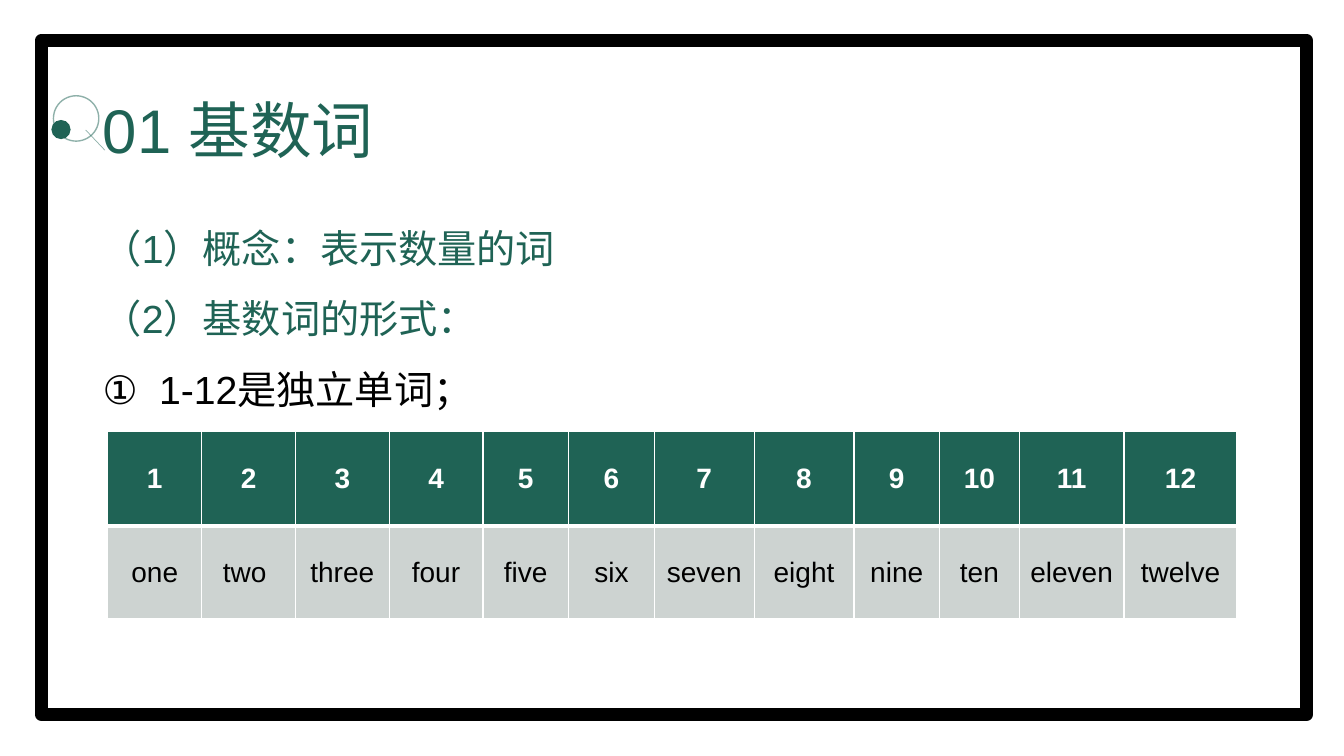
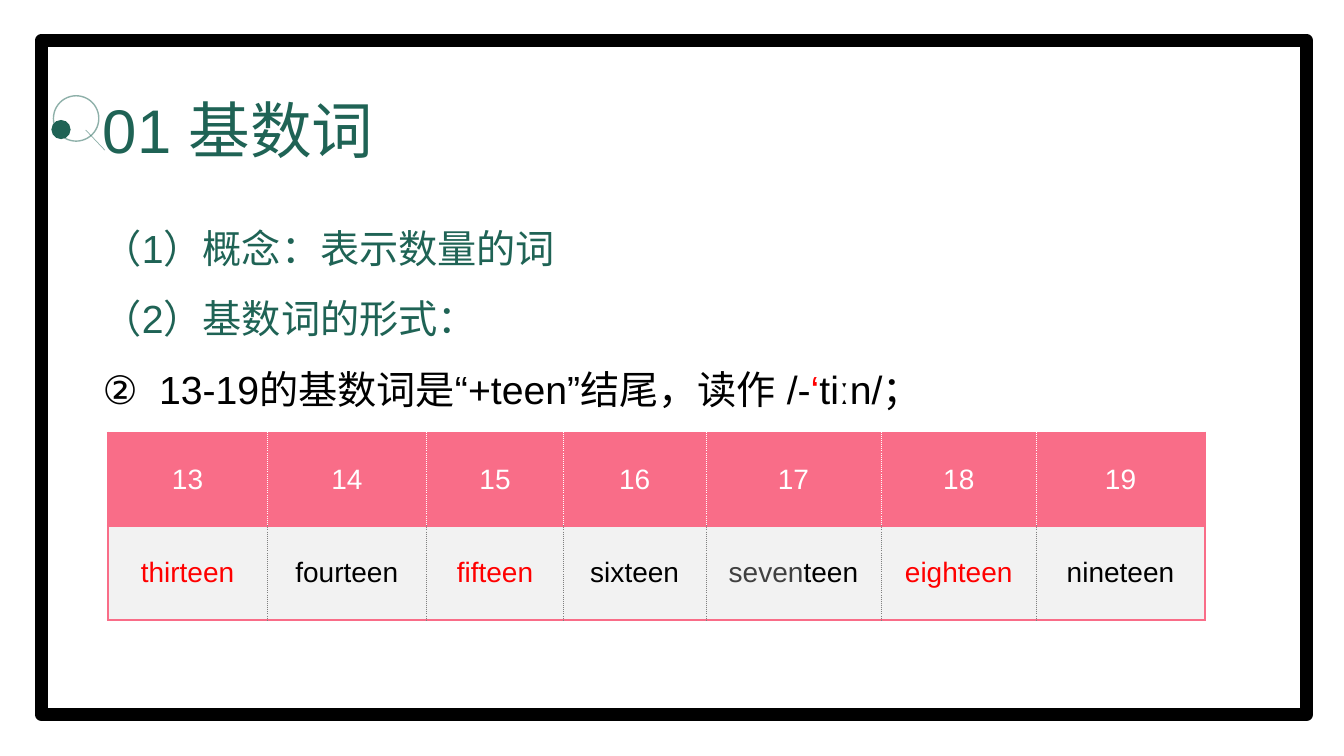
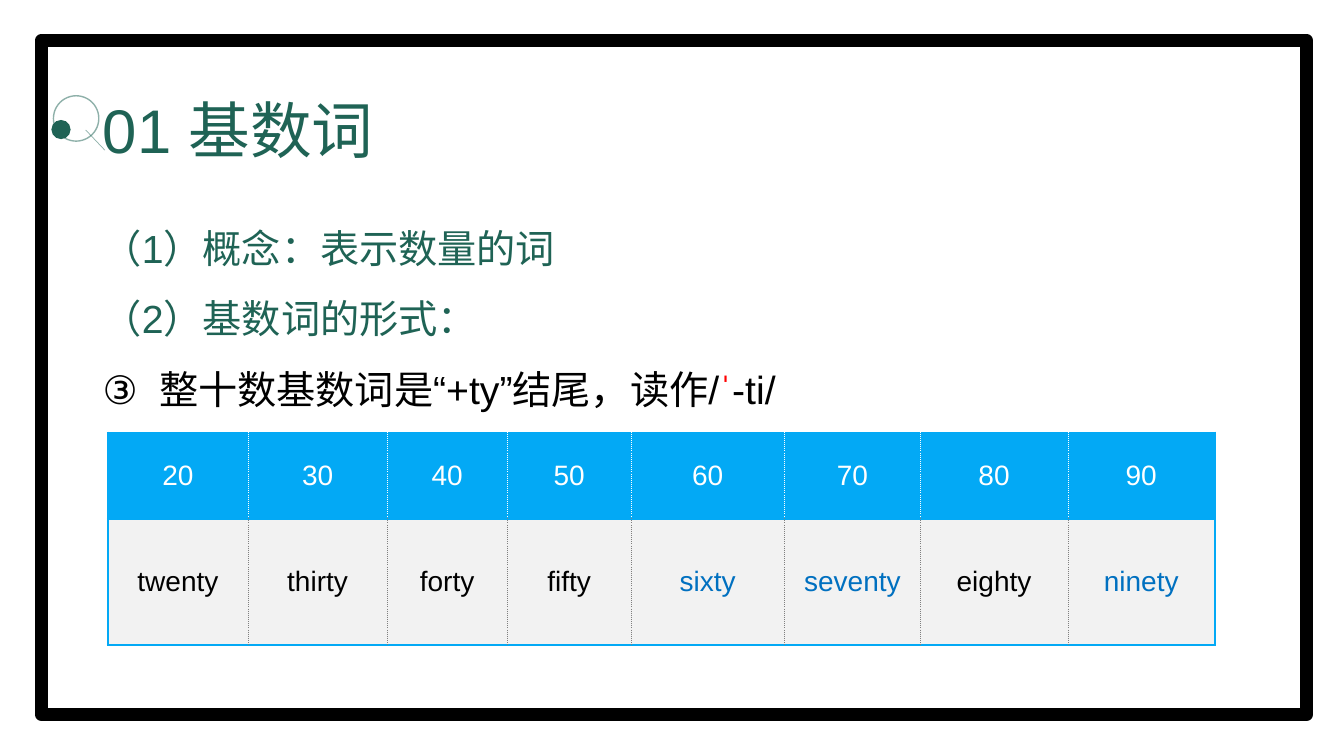
from lxml import etree
from pptx import Presentation
from pptx import util as u
from pptx.dml.color import RGBColor
from pptx.enum import lang, shapes, text
from pptx.oxml import ns

PX = 9144  # 100 px to the inch
FONT = "Arial"
COLORS = {
    "green": "1F6355", "black": "000000", "white": "FFFFFF", "red": "FF0000",
    "mist": "CDD3D1", "pale": "F2F2F2", "pink": "F96D88", "sky": "03A9F5",
    "blue": "0070C0", "gray": "404040", "divider": "7F7F7F",
}
TITLE = "01 基数词"
INTRO = ["（1）概念：表示数量的词", "（2）基数词的形式："]
FRAME_BOX = (41, 40, 1255, 669)
EMBLEM_BOX = (51, 95, 53, 54)
TITLE_BOX = (92, 48, 1150, 145)
BODY_BOX = (92, 208, 1150, 476)


def px(*lengths):
    return [u.Emu(n * PX) for n in lengths]


def rgb(name):
    return RGBColor.from_string(COLORS[name])


def child(parent, tag, **attrs):
    return etree.SubElement(parent, ns.qn(tag), attrs)


def set_all(obj, formats):
    for name, value in formats.items():
        setattr(obj, name, value)


def write(p, content, color, size, bold=False, **formats):
    """Fill a paragraph from a string or a list of (text, color) runs."""
    set_all(p, formats)
    runs = [(content, color)] if isinstance(content, str) else content
    for words, run_color in runs:
        r = p.add_run()
        r.text = words
        set_all(r.font, {"name": FONT, "size": u.Pt(size), "bold": bold,
                         "language_id": lang.MSO_LANGUAGE_ID.SIMPLIFIED_CHINESE})
        r.font.color.rgb = rgb(run_color)
        child(r.font._element, "a:ea", typeface=FONT)


def outline(sp, color, width, alpha=None):
    sp.line.color.rgb = rgb(color)
    sp.line.width = u.Pt(width)
    if alpha:
        srgb = sp.line._ln.find(".//" + ns.qn("a:srgbClr"))
        child(srgb, "a:alpha", val=str(alpha * 1000))


def add_plain(container, kind, box, fill=None):
    sp = container.add_shape(kind, *px(*box))
    sp.shadow.inherit = False
    if fill:
        sp.fill.solid()
        sp.fill.fore_color.rgb = rgb(fill)
    else:
        sp.fill.background()
    sp.line.fill.background()
    return sp


def add_frame(s, box):
    frame = add_plain(s.shapes, shapes.MSO_SHAPE.RECTANGLE, box, "white")
    outline(frame, "black", 9)
    frame._element.getparent().insert(2, frame._element)  # behind the title


def add_emblem(s, box):
    x, y, w, h = box
    group = s.shapes.add_group_shape().shapes
    oval = shapes.MSO_SHAPE.OVAL
    ring = add_plain(group, oval, (x + 2, y, 45, 45))
    outline(ring, "green", 1, alpha=50)
    handle = group.add_connector(shapes.MSO_CONNECTOR.STRAIGHT,
                                 *px(x + 34, y + 34, x + w, y + h))
    outline(handle, "green", 0.5, alpha=50)
    child(handle._element.spPr, "a:effectLst")
    add_plain(group, oval, (x, y + 24, 19, 19), "green")


def add_title(s, box):
    title = s.shapes.title
    set_all(title, dict(zip(("left", "top", "width", "height"), px(*box))))
    tf = title.text_frame
    set_all(tf, {"word_wrap": True, "auto_size": text.MSO_AUTO_SIZE.NONE,
                 "vertical_anchor": text.MSO_ANCHOR.MIDDLE})
    write(tf.paragraphs[0], TITLE, "green", 44,
          alignment=text.PP_ALIGN.LEFT, line_spacing=1.2)


def add_body(s, box, number, rule):
    """Two shared lines, then the rule with its circled number."""
    tf = s.shapes.add_textbox(*px(*box)).text_frame
    tf.word_wrap = True
    lines = [(line, "green") for line in INTRO] + [(rule, "black")]
    for i, (line, color) in enumerate(lines):
        p = tf.add_paragraph() if i else tf.paragraphs[0]
        write(p, line, color, 28, alignment=text.PP_ALIGN.JUSTIFY,
              line_spacing=1.2, space_before=u.Pt(10))
    pPr = p._p.get_or_add_pPr()
    indent = 56 * PX
    pPr.set("marL", str(indent))
    pPr.set("indent", str(-indent))
    child(pPr, "a:buAutoNum", type="circleNumDbPlain", startAt=str(number))


def add_borders(cell, **sides):
    """Each side (L, R, T, B) is a color and a width; hairlines are dotted."""
    tcPr = cell._tc.get_or_add_tcPr()
    for side in "LRTB":
        color, width = sides[side]
        ln = child(tcPr, "a:ln" + side, w=str(u.Pt(width)))
        child(child(ln, "a:solidFill"), "a:srgbClr", val=COLORS[color])
        child(ln, "a:prstDash", val="sysDot" if width < 1 else "solid")


def plain_borders(row, col, last):
    edge = ("white", 1)
    return {"L": edge, "R": edge, "T": edge, "B": edge if row else ("white", 3)}


def dotted_borders(accent):
    def borders(row, col, last):
        edge = (accent, 1.5)
        inner = ("divider" if row else "white", 0.25)
        return {"L": inner if col else edge, "R": edge if col == last else inner,
                "T": edge, "B": edge}
    return borders


def add_number_table(s, origin, cols, rows, cells, fills, borders, bold_head=False):
    table = s.shapes.add_table(len(rows), len(cols),
                               *px(*origin, sum(cols), sum(rows))).table
    table.horz_banding = False
    for column, width in zip(table.columns, px(*cols)):
        column.width = width
    for i, (height, contents) in enumerate(zip(px(*rows), cells)):
        table.rows[i].height = height
        for j, content in enumerate(contents):
            cell = table.cell(i, j)
            add_borders(cell, **borders(i, j, len(cols) - 1))
            cell.fill.solid()
            cell.fill.fore_color.rgb = rgb(fills[i])
            cell.vertical_anchor = text.MSO_ANCHOR.MIDDLE
            write(cell.text_frame.paragraphs[0], content, "black" if i else "white",
                  20, bold_head and i == 0, alignment=text.PP_ALIGN.CENTER)


def add_numeral_slide(prs, number, rule, table):
    s = prs.slides.add_slide(prs.slide_layouts[5])
    add_frame(s, FRAME_BOX)
    add_emblem(s, EMBLEM_BOX)
    add_title(s, TITLE_BOX)
    add_body(s, BODY_BOX, number, rule)
    add_number_table(s, **table)


def numerals(*values):
    return [str(n) for n in values]


def colored(color, word):
    return [(word, color)]


SLIDES = [
    ("1-12是独立单词；", {
        "origin": (107, 428), "rows": [94, 92],
        "cols": [93, 93, 93, 93, 85, 85, 99, 99, 85, 79, 104, 112],
        "cells": [numerals(*range(1, 13)),
                  ["one", "two ", "three", "four", "five", "six", "seven",
                   "eight", "nine", "ten", "eleven", "twelve"]],
        "fills": ("green", "mist"), "borders": plain_borders, "bold_head": True}),
    ([("13-19的基数词是“+teen”结尾，读作 /-", "black"), ("‘", "red"),
      ("tiːn/；", "black")], {
        "origin": (107, 429), "rows": [93, 93],
        "cols": [158, 158, 136, 141, 174, 154, 167],
        "cells": [numerals(*range(13, 20)),
                  [colored("red", "thirteen"), "fourteen", colored("red", "fifteen"),
                   "sixteen", [("seven", "gray"), ("teen", "black")],
                   colored("red", "eighteen"), "nineteen"]],
        "fills": ("pink", "pale"), "borders": dotted_borders("pink")}),
    ([("整十数基数词是“+ty”结尾，读作/", "black"), ("ˈ", "red"), ("-ti/", "black")], {
        "origin": (107, 429), "rows": [86, 125],
        "cols": [139, 138, 119, 123, 152, 135, 146, 146],
        "cells": [numerals(*range(20, 100, 10)),
                  ["twenty", "thirty", "forty", "fifty", colored("blue", "sixty"),
                   colored("blue", "seventy"), "eighty", colored("blue", "ninety")]],
        "fills": ("sky", "pale"), "borders": dotted_borders("sky")}),
]


def main():
    prs = Presentation()
    prs.slide_width, prs.slide_height = px(1333, 750)
    for number, (rule, table) in enumerate(SLIDES, 1):
        add_numeral_slide(prs, number, rule, table)
    prs.save("out.pptx")


if __name__ == "__main__":
    main()
